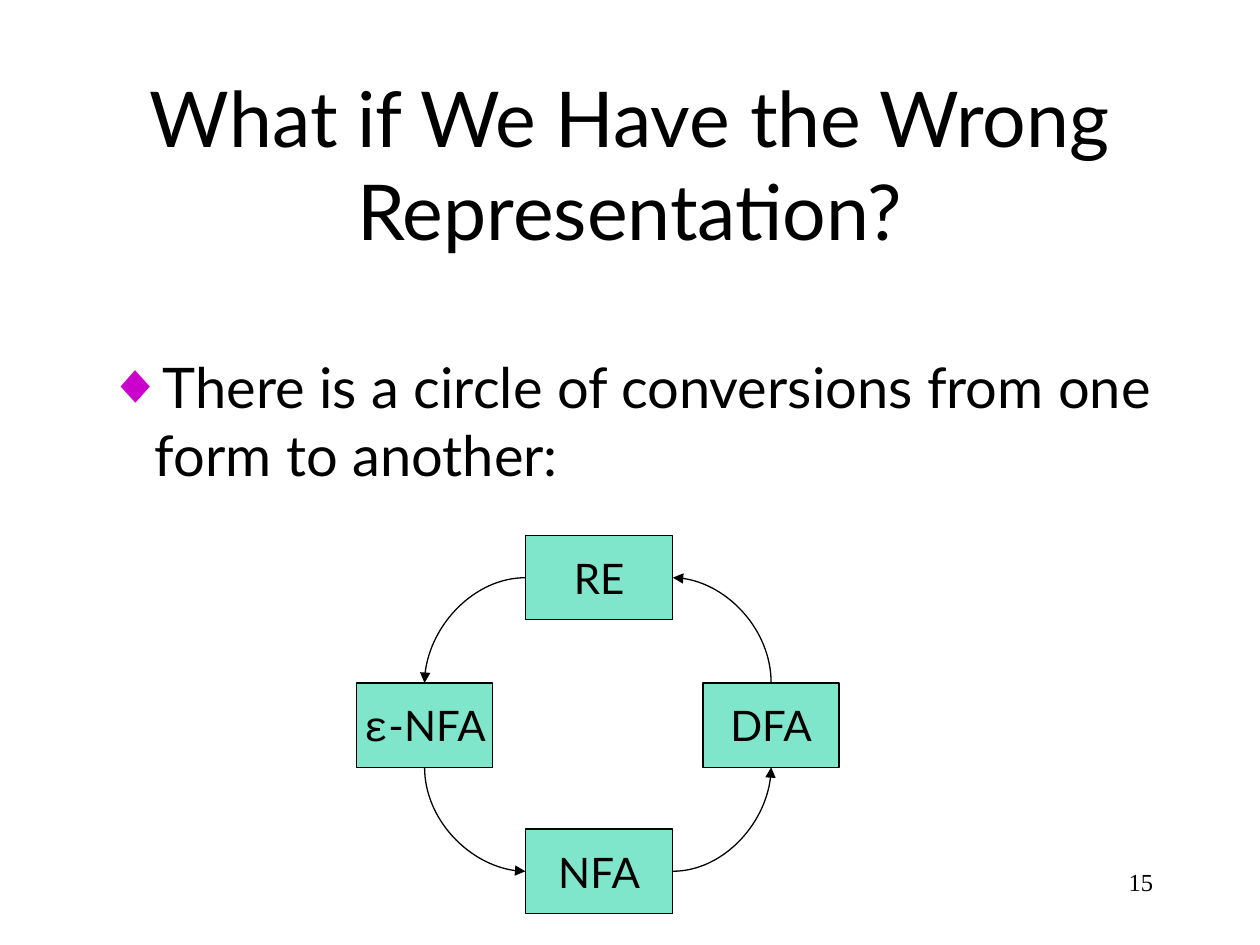
from lxml import etree
from pptx import Presentation
from pptx.dml.color import RGBColor
from pptx.enum.shapes import MSO_CONNECTOR, MSO_SHAPE
from pptx.enum.text import MSO_ANCHOR, MSO_AUTO_SIZE, PP_ALIGN
from pptx.oxml.ns import qn
from pptx.util import Inches, Pt

CENTER, RIGHT = PP_ALIGN.CENTER, PP_ALIGN.RIGHT
MIDDLE, TOP = MSO_ANCHOR.MIDDLE, MSO_ANCHOR.TOP
NO_FIT = MSO_AUTO_SIZE.NONE
RECTANGLE, CURVE = MSO_SHAPE.RECTANGLE, MSO_CONNECTOR.CURVE


def color(value):
    return RGBColor.from_string(value)


def child(parent, tag, **attributes):
    return etree.SubElement(parent, qn(tag), attributes)


def add_span(para, text, size=24, font="Lato", ink="000000"):
    span = para.add_run()
    span.text = text
    span.font.size = Pt(size)
    span.font.name = font
    span.font.color.rgb = color(ink)


def side_point(box, side):
    across, down = {"left": (0, 0.5), "right": (1, 0.5),
                    "top": (0.5, 0), "bottom": (0.5, 1)}[side]
    return box.left + box.width * across, box.top + box.height * down


class Slide:
    ink = "000000"
    fill = "00CC99"
    opacity = "50000"
    bullet = "CC00CC"
    line_width = Pt(0.75)

    def __init__(self, deck):
        self.page = deck.slides.add_slide(deck.slide_layouts[1])

    def place(self, box, left, top, width, height, anchor):
        box.left, box.top = Inches(left), Inches(top)
        box.width, box.height = Inches(width), Inches(height)
        frame = box.text_frame
        frame.auto_size = NO_FIT
        frame.word_wrap = True
        frame.vertical_anchor = anchor
        return frame.paragraphs[0]

    def title(self, text, *place):
        para = self.place(self.page.shapes.title, *place, MIDDLE)
        para.alignment = CENTER
        add_span(para, text, size=44)

    def body(self, text, *place):
        para = self.place(self.page.placeholders[1], *place, TOP)
        properties = para._p.get_or_add_pPr()
        properties.set("marL", str(Inches(0.38)))
        properties.set("indent", str(Inches(-0.38)))
        child(child(properties, "a:buClr"), "a:srgbClr", val=self.bullet)
        child(properties, "a:buChar", char="◆")
        para.space_before = Pt(8)
        add_span(para, text, size=32)

    def number(self, text, *place):
        box = self.page.shapes.add_textbox(0, 0, 0, 0)
        para = self.place(box, *place, TOP)
        para.alignment = RIGHT
        add_span(para, text, size=14, font="Times New Roman")

    def node(self, label, left, top, width, prefix=""):
        box = self.page.shapes.add_shape(RECTANGLE, 0, 0, 0, 0)
        para = self.place(box, left, top, width, 0.67, MIDDLE)
        box.text_frame.word_wrap = False
        box.shadow.inherit = False
        box.fill.solid()
        box.fill.fore_color.rgb = color(self.fill)
        shade = box._element.spPr.find(qn("a:solidFill"))[0]
        child(shade, "a:alpha", val=self.opacity)
        box.line.color.rgb = color(self.ink)
        box.line.width = self.line_width
        para.alignment = CENTER
        if prefix:
            add_span(para, prefix, font="Courier New")
        add_span(para, label)
        return box

    def arrow(self, source, source_side, target, target_side):
        x1, y1 = side_point(source, source_side)
        x2, y2 = side_point(target, target_side)
        vertical = source_side in ("top", "bottom")
        if vertical:
            middle_x, middle_y = (x1 + x2) / 2, (y1 + y2) / 2
            across, down = middle_y - y1, x1 - middle_x
            x1, y1 = middle_x + across, middle_y + down
            x2, y2 = middle_x - across, middle_y - down
        arrow = self.page.shapes.add_connector(
            CURVE, round(x1), round(y1), round(x2), round(y2))
        properties = arrow._element.spPr
        properties.find(qn("a:prstGeom")).set("prst", "curvedConnector2")
        if vertical:
            properties.find(qn("a:xfrm")).set("rot", str(270 * 60000))
        arrow.line.color.rgb = color(self.ink)
        arrow.line.width = self.line_width
        child(properties.find(qn("a:ln")), "a:tailEnd", type="triangle")
        child(properties, "a:effectLst")


def main():
    deck = Presentation()
    deck.slide_width, deck.slide_height = Inches(10), Inches(7.5)
    slide = Slide(deck)
    slide.number("15", 7.17, 6.83, 2.08, 0.5)
    slide.title("What if We Have the Wrong Representation?", 0.75, 0.67, 8.5, 1.25)
    slide.body("There is a circle of conversions from one form to another:",
               0.75, 2.75, 8.5, 3.92)
    expression = slide.node("RE", 4.17, 4.25, 1.17)
    deterministic = slide.node("DFA", 5.58, 5.42, 1.08)
    nondeterministic = slide.node("NFA", 4.17, 6.58, 1.17)
    epsilon = slide.node("-NFA", 2.83, 5.42, 1.08, prefix="ε")
    slide.arrow(deterministic, "top", expression, "right")
    slide.arrow(expression, "left", epsilon, "top")
    slide.arrow(epsilon, "bottom", nondeterministic, "left")
    slide.arrow(nondeterministic, "right", deterministic, "bottom")
    deck.save("out.pptx")


if __name__ == "__main__":
    main()
